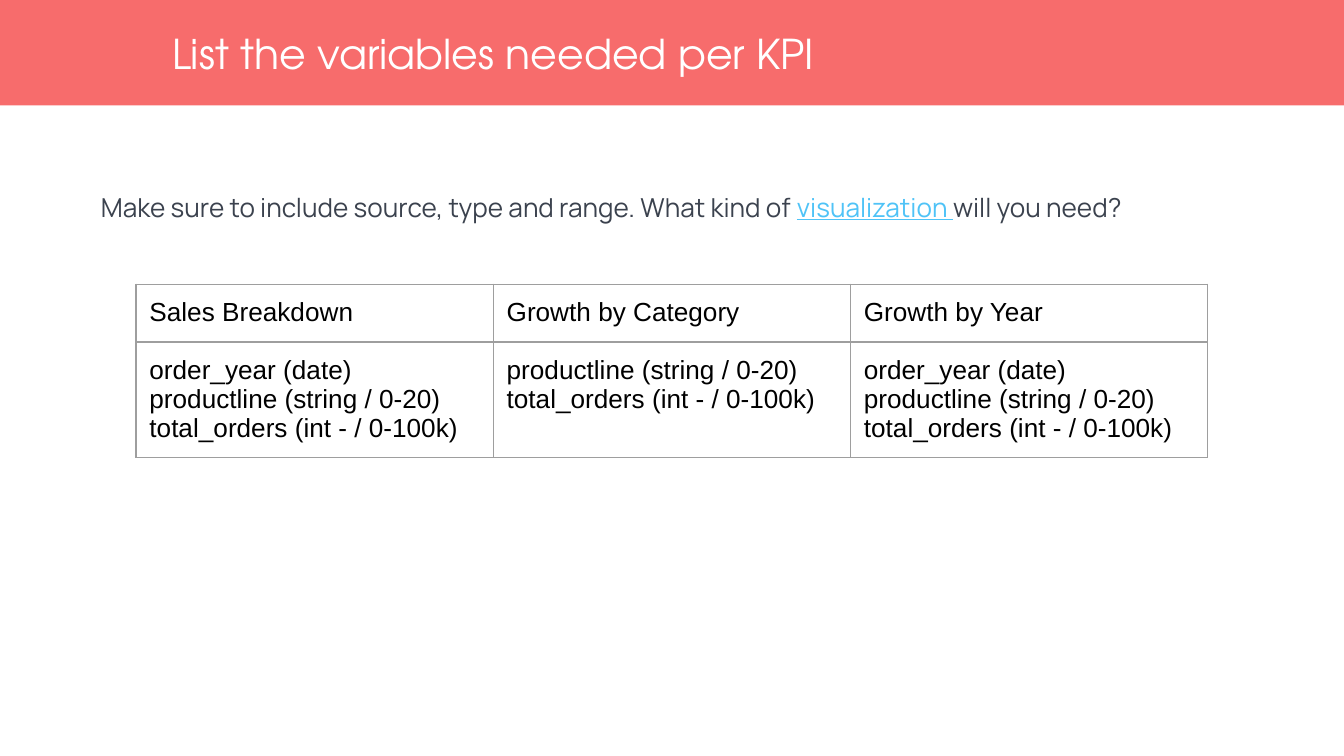
"""Build the slide that lists the variables needed per KPI."""
from lxml.etree import SubElement
from pptx import Presentation
from pptx.dml.color import RGBColor
from pptx.enum.shapes import MSO_SHAPE
from pptx.enum.text import MSO_ANCHOR, MSO_AUTO_SIZE, PP_ALIGN
from pptx.oxml import parse_xml
from pptx.oxml.ns import nsdecls, qn
from pptx.util import Inches, Pt

HUES = {"band": "F76C6C", "title": "FFFFFF", "body": "3B424E",
        "link": "4FC3F7", "cell": "000000", "rule": "9E9E9E"}
YEAR = "order_year (date)"
LINE = "productline (string / 0-20)"
TOTAL = "total_orders (int - / 0-100k)"
KPIS = {"Sales Breakdown": [YEAR, LINE, TOTAL],
        "Growth by Category": [LINE, TOTAL],
        "Growth by Year": [YEAR, LINE, TOTAL]}


def write(para, text, font="Arial", size=14, hue="cell", under=False):
    run = para.add_run()
    run.text = text
    run.font.name = font
    run.font.size = Pt(size)
    run.font.bold = False
    run.font.underline = under
    run.font.color.rgb = RGBColor.from_string(HUES[hue])


def place(shape, left, top, wide, high):
    shape.left, shape.width = int(left * col), int(wide * col)
    shape.top, shape.height = int(top * row), int(high * row)


deck = Presentation()
deck.slide_width = Inches(10)
deck.slide_height = deck.slide_width * 9 // 16
col, row = deck.slide_width / 100, deck.slide_height / 100
slide = deck.slides.add_slide(deck.slide_layouts[1])
title, body = slide.placeholders
head = 13.95

band = slide.shapes.add_shape(MSO_SHAPE.RECTANGLE, 0, 0, 0, 0)
place(band, -0.2, 0, 100.4, head)
band.shadow.inherit = False
band.fill.solid()
band.fill.fore_color.rgb = RGBColor.from_string(HUES["band"])
band.line.fill.background()
slide.shapes._spTree.insert(2, band._element)

place(title, 12.8, 0, 78.3, head)
place(body, 7.5, 25.3, 85.3, 66.13)
for shape, anchor in (title, MSO_ANCHOR.MIDDLE), (body, MSO_ANCHOR.TOP):
    frame = shape.text_frame
    frame.margin_left = frame.margin_right = 0
    frame.margin_top = frame.margin_bottom = 0
    frame.word_wrap = True
    frame.auto_size = MSO_AUTO_SIZE.NONE
    frame.vertical_anchor = anchor
    frame.paragraphs[0].alignment = PP_ALIGN.LEFT
    frame.paragraphs[0].space_before = Pt(0)

write(title.text_frame.paragraphs[0], "List the variables needed per KPI",
      font="TeX Gyre Adventor", size=22, hue="title")
para = body.text_frame.paragraphs[0]
props = para._p.get_or_add_pPr()
props.set("marL", "0")
props.set("indent", "0")
SubElement(props, qn("a:buNone"))
for text, hue in (
        ("Make sure to include source, type and range. What kind of ", "body"),
        ("visualization ", "link"), ("will you need?", "body")):
    write(para, text, font="Manrope", hue=hue, under=hue == "link")

grid = slide.shapes.add_table(2, len(KPIS), 0, 0, 0, 0)
place(grid, 10.12, 37.6, 79.74, 22.92)
table = grid.table
table.first_row = table.horz_banding = False
for part in table.columns:
    part.width = int(26.58 * col)
for part, high in zip(table.rows, (7.64, 15.28)):
    part.height = int(high * row)

for i, (name, lines) in enumerate(KPIS.items()):
    for j, texts in enumerate(([name], lines)):
        cell = table.cell(j, i)
        cell.margin_left = cell.margin_right = Inches(0.1)
        cell.margin_top = cell.margin_bottom = Inches(0.1)
        cell.fill.background()
        for k, side in enumerate("LRTB"):
            cell._tc.get_or_add_tcPr().insert(k, parse_xml(
                f'<a:ln{side} {nsdecls("a")} w="{Pt(0.75)}"><a:solidFill>'
                f'<a:srgbClr val="{HUES["rule"]}"/></a:solidFill></a:ln{side}>'))
        for k, text in enumerate(texts):
            frame = cell.text_frame
            write(frame.add_paragraph() if k else frame.paragraphs[0], text)

deck.save("out.pptx")
